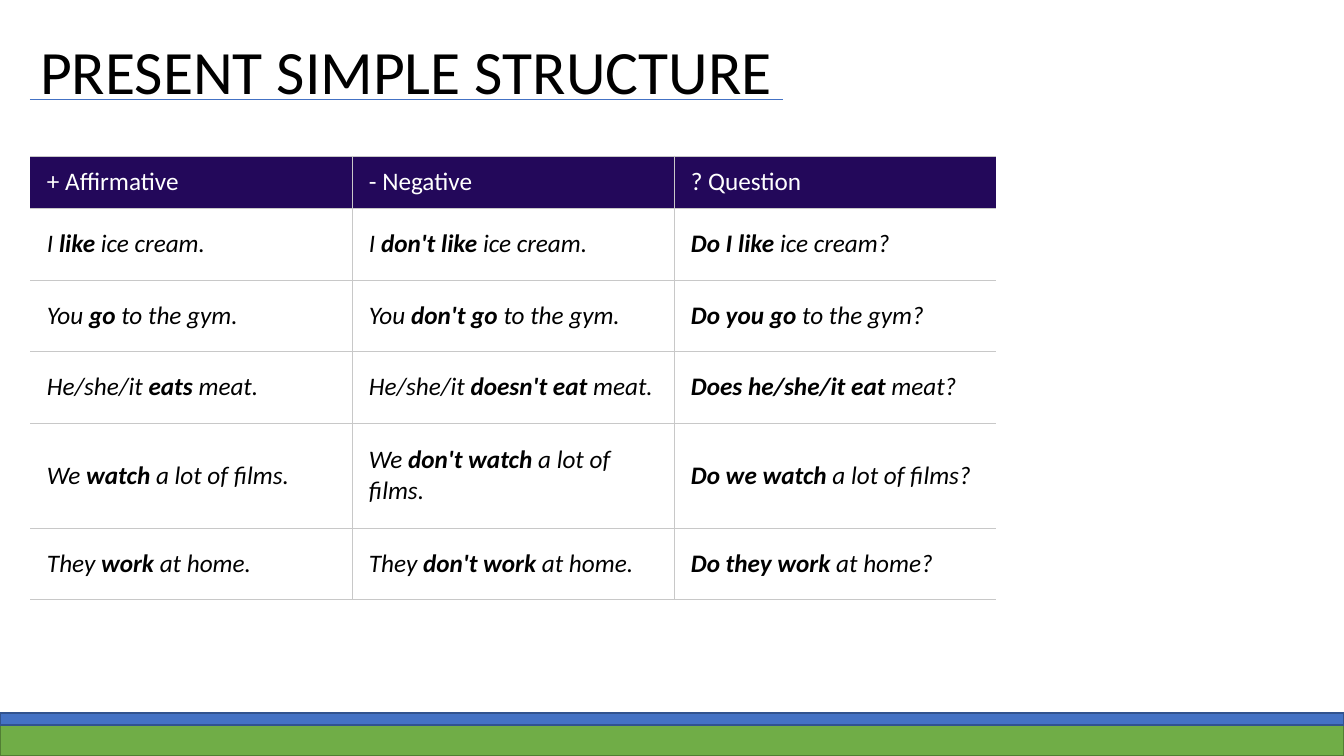
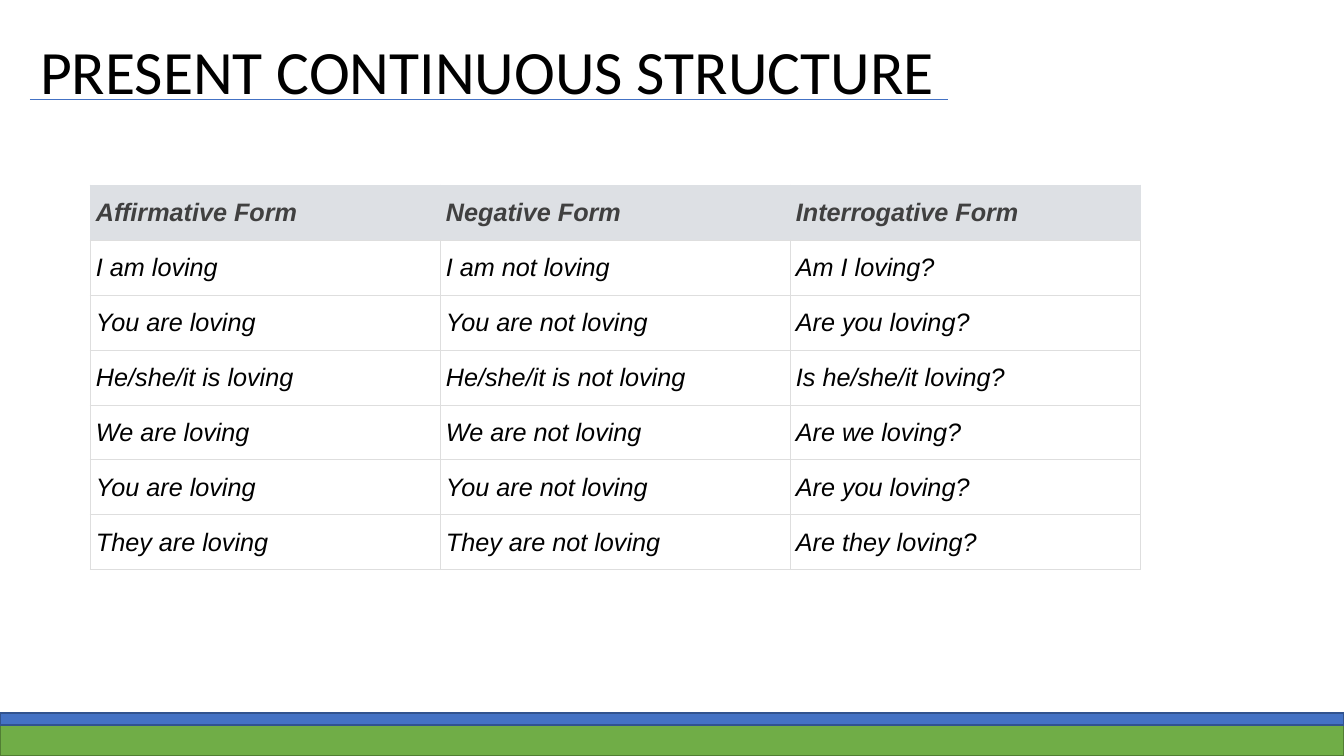
from pptx import Presentation
from pptx.dml.color import RGBColor
from pptx.enum.shapes import MSO_CONNECTOR, MSO_SHAPE
from pptx.enum.text import MSO_ANCHOR, PP_ALIGN
from pptx.oxml import parse_xml
from pptx.oxml.ns import nsdecls, qn
from pptx.util import Pt

RECTANGLE = MSO_SHAPE.RECTANGLE
STRAIGHT = MSO_CONNECTOR.STRAIGHT
MIDDLE = MSO_ANCHOR.MIDDLE
LEFT = PP_ALIGN.LEFT

BLACK = RGBColor(0x00, 0x00, 0x00)
WHITE = RGBColor(0xFF, 0xFF, 0xFF)
GREEN = RGBColor(0x70, 0xAD, 0x47)
GREEN_EDGE = RGBColor(0x51, 0x7E, 0x33)
BLUE = RGBColor(0x44, 0x72, 0xC4)
BLUE_EDGE = RGBColor(0x31, 0x53, 0x8F)
PURPLE = RGBColor(0x23, 0x08, 0x5A)
CHARCOAL = RGBColor(0x40, 0x40, 0x40)
SILVER = RGBColor(0xDD, 0xE0, 0xE4)
GRID_DARK = RGBColor(0xC8, 0xC8, 0xC8)
GRID_LIGHT = RGBColor(0xDE, 0xDE, 0xDE)

SLIDE_WIDTH, SLIDE_HEIGHT = 1344, 756
EMU_PER_PX = 12192000 / SLIDE_WIDTH
MARGIN = 30
UNDERLINE_Y = 100
TITLE_BOX = (MARGIN, 2, 1159, 146)
TITLE_FONT = "Calibri"
BORDER_WIDTH = Pt(0.6)

# Bottom bands: top, height, fill, edge
BANDS = [(725, 31, GREEN, GREEN_EDGE), (713, 12, BLUE, BLUE_EDGE)]

# Slide content; asterisks enclose bold words
SLIDES = [
    {
        "title": "PRESENT SIMPLE STRUCTURE",
        "underline_end": 783,
        "origin": (30, 156),
        "column_width": 322,
        "row_heights": [52, 72, 71, 72, 105, 71],
        "font": "Calibri",
        "grid": GRID_DARK,
        "outer_sides": False,
        "header": {"fill": PURPLE, "color": WHITE, "bold": False,
                   "italic": False, "inset": (17, 7), "edge": GRID_DARK},
        "body_inset": (17, 13),
        "rows": [
            ("+ Affirmative", "- Negative", "? Question"),
            ("I *like* ice cream.", "I *don't like* ice cream.",
             "*Do I like* ice cream?"),
            ("You *go* to the gym.", "You *don't go* to the gym.",
             "*Do you go* to the gym?"),
            ("He/she/it *eats* meat.", "He/she/it *doesn't eat* meat.",
             "*Does he/she/it eat* meat?"),
            ("We *watch* a lot of films.", "We *don't watch* a lot of films.",
             "*Do we watch* a lot of films?"),
            ("They *work* at home.", "They *don't work* at home.",
             "*Do they work* at home?"),
        ],
    },
    {
        "title": "PRESENT CONTINUOUS STRUCTURE",
        "underline_end": 948,
        "origin": (90, 185),
        "column_width": 350,
        "row_heights": [55] * 7,
        "font": "Arial",
        "grid": GRID_LIGHT,
        "outer_sides": True,
        "header": {"fill": SILVER, "color": CHARCOAL, "bold": True,
                   "italic": True, "inset": (6, 4), "edge": SILVER},
        "body_inset": (6, 4),
        "rows": [
            ("Affirmative Form", "Negative Form", "Interrogative Form"),
            ("I am loving", "I am not loving", "Am I loving?"),
            ("You are loving", "You are not loving", "Are you loving?"),
            ("He/she/it is loving", "He/she/it is not loving",
             "Is he/she/it loving?"),
            ("We are loving", "We are not loving", "Are we loving?"),
            ("You are loving", "You are not loving", "Are you loving?"),
            ("They are loving", "They are not loving", "Are they loving?"),
        ],
    },
]


def px(length):
    return round(length * EMU_PER_PX)


def add_span(para, text, font, size, color, bold=False, italic=False):
    span = para.add_run()
    span.text = text
    span.font.name = font
    span.font.size = Pt(size)
    span.font.color.rgb = color
    span.font.bold = bold
    span.font.italic = italic


def add_title(page, text):
    title = page.shapes.title
    title.left, title.top, title.width, title.height = map(px, TITLE_BOX)
    title.text_frame.vertical_anchor = MIDDLE
    para = title.text_frame.paragraphs[0]
    para.alignment = LEFT
    para.line_spacing = 0.9
    add_span(para, text, TITLE_FONT, 44, BLACK)


def add_bands(page):
    for top, height, fill, edge in BANDS:
        band = page.shapes.add_shape(
            RECTANGLE, 0, px(top), px(SLIDE_WIDTH), px(height))
        band.shadow.inherit = False
        band.fill.solid()
        band.fill.fore_color.rgb = fill
        band.line.color.rgb = edge
        band.line.width = Pt(1)


def add_underline(page, end):
    line = page.shapes.add_connector(
        STRAIGHT, px(MARGIN), px(UNDERLINE_Y), px(end), px(UNDERLINE_Y))
    line.line.color.rgb = BLUE
    line.line.width = Pt(0.75)
    line._element.spPr.append(parse_xml(f"<a:effectLst {nsdecls('a')}/>"))


def set_borders(cell, colors):
    """Draw left, right, top and bottom borders; None leaves a side open."""
    properties = cell._tc.get_or_add_tcPr()
    for index, (side, color) in enumerate(zip("LRTB", colors)):
        if color is None:
            paint = "<a:noFill/>"
        else:
            paint = f'<a:solidFill><a:srgbClr val="{color}"/></a:solidFill>'
        properties.insert(index, parse_xml(
            f'<a:ln{side} {nsdecls("a")} w="{BORDER_WIDTH}">{paint}</a:ln{side}>'))


def fill_cell(cell, text, content, is_header):
    header = content["header"]
    inset_x, inset_y = header["inset"] if is_header else content["body_inset"]
    cell.margin_left = cell.margin_right = px(inset_x)
    cell.margin_top = cell.margin_bottom = px(inset_y)
    cell.vertical_anchor = MIDDLE
    cell.fill.solid()
    cell.fill.fore_color.rgb = header["fill"] if is_header else WHITE
    para = cell.text_frame.paragraphs[0]
    color = header["color"] if is_header else BLACK
    italic = header["italic"] if is_header else True
    for index, part in enumerate(text.split("*")):
        if part:
            bold = header["bold"] if is_header else index % 2 == 1
            add_span(para, part, content["font"], 18, color, bold, italic)


def add_grid(page, content):
    rows, heights = content["rows"], content["row_heights"]
    column_count = len(rows[0])
    left, top = content["origin"]
    table = page.shapes.add_table(
        len(rows), column_count, px(left), px(top),
        px(content["column_width"] * column_count), px(sum(heights))).table
    table.first_row = table.horz_banding = False
    for column in table.columns:
        column.width = px(content["column_width"])
    for row_index, texts in enumerate(rows):
        table.rows[row_index].height = px(heights[row_index])
        is_header = row_index == 0
        edge = content["header"]["edge"] if is_header else content["grid"]
        outer = edge if content["outer_sides"] else None
        for column_index, text in enumerate(texts):
            cell = table.cell(row_index, column_index)
            fill_cell(cell, text, content, is_header)
            set_borders(cell, (
                outer if column_index == 0 else edge,
                outer if column_index == column_count - 1 else edge,
                edge, content["grid"]))


def main():
    deck = Presentation()
    deck.slide_width, deck.slide_height = px(SLIDE_WIDTH), px(SLIDE_HEIGHT)
    title_only = deck.slide_layouts.get_by_name("Title Only")
    for content in SLIDES:
        page = deck.slides.add_slide(title_only)
        add_title(page, content["title"])
        add_bands(page)
        add_underline(page, content["underline_end"])
        add_grid(page, content)
    deck.save("out.pptx")


if __name__ == "__main__":
    main()
